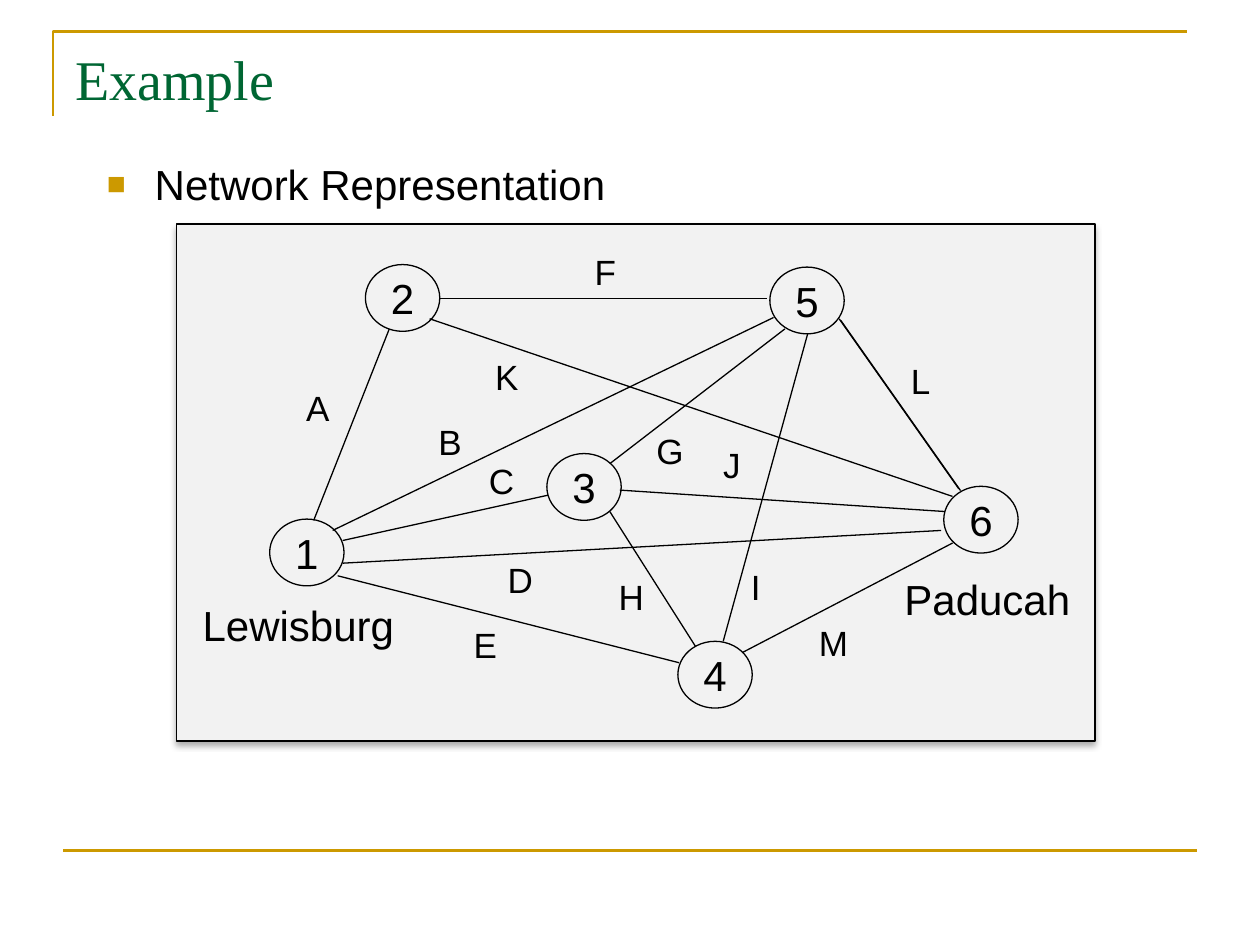
from typing import NamedTuple

from lxml import etree
from pptx import Presentation
from pptx.dml.color import RGBColor
from pptx.enum import shapes, text
from pptx.oxml import ns
from pptx.util import Inches, Pt

BLACK, GOLD, GREEN, PANEL = "000000", "CC9900", "006633", "F2F2F2"
NODE_WIDTH, NODE_HEIGHT = 0.59, 0.53


class Node(NamedTuple):
    name: str
    left: float
    top: float


class Edge(NamedTuple):
    name: str
    start: tuple[float, float]
    end: tuple[float, float]
    label: tuple[float, float, float]  # left, top, width


NODES = [
    Node("1", 2.14, 4.12), Node("2", 2.9, 2.1), Node("3", 4.34, 3.6),
    Node("4", 5.38, 5.09), Node("5", 6.11, 2.12), Node("6", 7.49, 3.86),
]
EDGES = [
    Edge("A", (2.49, 4.13), (3.09, 2.61), (2.43, 3.07, 0.19)),
    Edge("B", (2.64, 4.21), (6.14, 2.52), (3.48, 3.34, 0.19)),
    Edge("C", (2.72, 4.29), (4.35, 3.93), (3.88, 3.65, 0.2)),
    Edge("D", (2.72, 4.47), (7.47, 4.21), (4.03, 4.43, 0.2)),
    Edge("E", (2.68, 4.57), (5.39, 5.26), (3.76, 4.95, 0.19)),
    Edge("F", (3.49, 2.37), (6.09, 2.37), (4.72, 1.99, 0.17)),
    Edge("G", (4.84, 3.68), (6.23, 2.61), (5.21, 3.41, 0.22)),
    Edge("H", (4.84, 4.06), (5.52, 5.13), (4.91, 4.57, 0.2)),
    Edge("I", (5.74, 5.09), (6.41, 2.65), (5.96, 4.49, 0.08)),
    Edge("J", (4.92, 3.89), (7.5, 4.06), (5.74, 3.52, 0.14)),
    Edge("K", (3.41, 2.53), (7.56, 3.94), (3.93, 2.82, 0.19)),
    Edge("L", (6.66, 2.53), (7.61, 3.88), (7.23, 2.85, 0.16)),
    Edge("M", (5.89, 5.18), (7.56, 4.31), (6.5, 4.93, 0.23)),
]


def color(value: str) -> RGBColor:
    return RGBColor.from_string(value)


def set_line(shape, value: str, width: float) -> None:
    shape.line.color.rgb = color(value)
    shape.line.width = Pt(width)


def add_shadow(shape, opacity: int, blur: float, distance: float, angle: int) -> None:
    """Fill the shape's empty effect list with a black outer shadow."""
    effects = shape._element.spPr.find(ns.qn("a:effectLst"))
    shadow = etree.SubElement(
        effects, ns.qn("a:outerShdw"), blurRad=str(Pt(blur)), dist=str(Pt(distance)),
        dir=str(angle * 60000), algn="t", rotWithShape="0")
    black = etree.SubElement(shadow, ns.qn("a:srgbClr"), val=BLACK)
    etree.SubElement(black, ns.qn("a:alpha"), val=str(opacity * 1000))


def add_line(slide, start: tuple[float, float], end: tuple[float, float],
             value: str = BLACK, width: float = 0.75):
    line = slide.shapes.add_connector(
        shapes.MSO_CONNECTOR.STRAIGHT, *map(Inches, start + end))
    set_line(line, value, width)
    etree.SubElement(line._element.spPr, ns.qn("a:effectLst"))
    return line


def set_font(paragraph, size: int, value: str = BLACK, name: str = "Arial") -> None:
    paragraph.font.size = Pt(size)
    paragraph.font.name = name
    paragraph.font.color.rgb = color(value)


def add_text(slide, content: str, left: float, top: float, width: float, height: float,
             size: int, wrap: bool = False, inset: bool = True):
    """Add a one-paragraph text box and return its paragraph."""
    frame = slide.shapes.add_textbox(
        *map(Inches, (left, top, width, height))).text_frame
    frame.word_wrap = wrap
    if not inset:
        frame.margin_left = frame.margin_right = Inches(0)
        frame.margin_top = frame.margin_bottom = Inches(0)
    paragraph = frame.paragraphs[0]
    paragraph.text = content
    set_font(paragraph, size)
    return paragraph


def add_node(slide, node: Node) -> None:
    ellipse = slide.shapes.add_shape(
        shapes.MSO_SHAPE.OVAL,
        *map(Inches, (node.left, node.top, NODE_WIDTH, NODE_HEIGHT)))
    ellipse.shadow.inherit = False
    ellipse.fill.background()
    set_line(ellipse, BLACK, 0.75)
    frame = ellipse.text_frame
    frame.vertical_anchor = text.MSO_ANCHOR.MIDDLE
    frame.word_wrap = False
    paragraph = frame.paragraphs[0]
    paragraph.text = node.name
    paragraph.alignment = text.PP_ALIGN.CENTER
    set_font(paragraph, 24)


def add_edge(slide, edge: Edge) -> None:
    line = add_line(slide, edge.start, edge.end)
    if edge.name == "L":
        add_shadow(line, 100, 0, 1.4, 45)
    left, top, width = edge.label
    add_text(slide, edge.name, left, top, width, 0.34, 20, inset=False)


def add_bullet(paragraph) -> None:
    properties = paragraph._p.get_or_add_pPr()
    properties.set("marL", str(Inches(0.38)))
    properties.set("indent", str(-Inches(0.38)))
    bullet_color = etree.Element(ns.qn("a:buClr"))
    etree.SubElement(bullet_color, ns.qn("a:srgbClr"), val=GOLD)
    bullet_parts = [
        bullet_color,
        etree.Element(ns.qn("a:buSzPct"), val="75000"),
        etree.Element(ns.qn("a:buFont"), typeface="Arial"),
        etree.Element(ns.qn("a:buChar"), char="■"),
    ]
    for position, part in enumerate(bullet_parts):
        properties.insert(position, part)


def main() -> None:
    presentation = Presentation()
    presentation.slide_width, presentation.slide_height = Inches(10), Inches(7.5)
    slide = presentation.slides.add_slide(presentation.slide_layouts[6])

    # Gold corner frame and bottom rule
    builder = slide.shapes.build_freeform(Inches(0.42), Inches(0.92))
    builder.add_line_segments(
        [(Inches(0.42), Inches(0.25)), (Inches(9.42), Inches(0.25))], close=False)
    corner = builder.convert_to_shape()
    corner.shadow.inherit = False
    corner.fill.background()
    set_line(corner, GOLD, 1.5)
    add_line(slide, (0.5, 6.75), (9.5, 6.75), GOLD, 1.5)

    # Title and bullet
    title = add_text(slide, "Example", 0.5, 0.3, 9, 1.25, 32, wrap=True)
    set_font(title, 32, GREEN, "Times New Roman")
    heading = add_text(
        slide, "Network Representation", 0.75, 1.21, 5.6, 0.56, 24, wrap=True)
    add_bullet(heading)

    # Network panel
    panel = slide.shapes.add_shape(
        shapes.MSO_SHAPE.RECTANGLE, *map(Inches, (1.4, 1.78, 7.29, 4.1)))
    panel.shadow.inherit = False
    panel.fill.solid()
    panel.fill.fore_color.rgb = color(PANEL)
    set_line(panel, BLACK, 1)
    add_shadow(panel, 32, 3.5, 2.2, 90)

    # Network edges, nodes and town names
    for edge in EDGES:
        add_edge(slide, edge)
    for node in NODES:
        add_node(slide, node)
    add_text(slide, "Paducah", 7.08, 4.5, 1.53, 0.5, 24)
    add_text(slide, "Lewisburg", 1.51, 4.71, 1.78, 0.5, 24)

    presentation.save("out.pptx")


if __name__ == "__main__":
    main()
